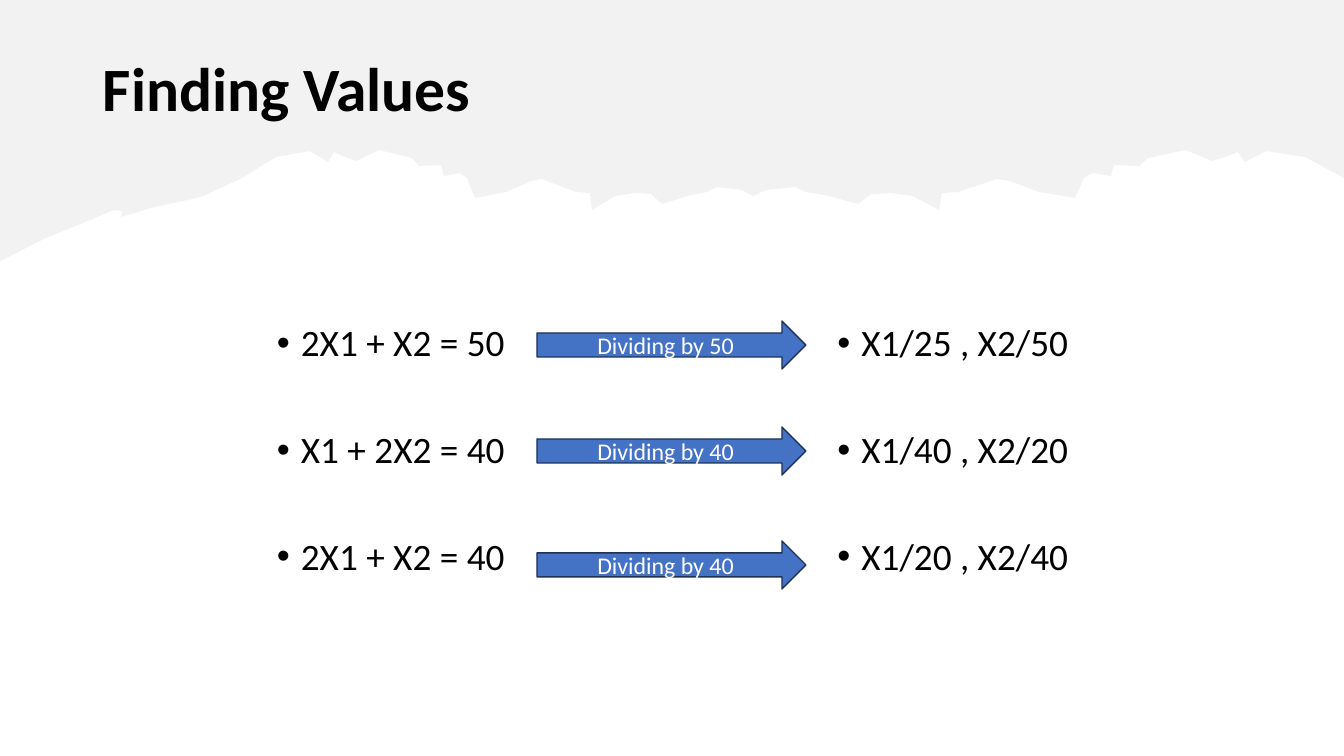
from lxml import etree
from pptx import Presentation, util as u
from pptx.dml.color import RGBColor
from pptx.enum import shapes, text
from pptx.oxml.ns import qn

TITLE = "Finding Values"
CONSTRAINTS = ["2X1 + X2 = 50", "X1 + 2X2 = 40", "2X1 + X2 = 40"]
INTERCEPTS = ["X1/25 , X2/50", "X1/40 , X2/20", "X1/20 , X2/40"]
DIVISIONS = [("Dividing by 50", 321), ("Dividing by 40", 427), ("Dividing by 40", 541)]

HILLSIDE = [(0, 261), (46, 238), (83, 223), (114, 210), (122, 211), (121, 217), (151, 208), (201, 197)]
PEAK = [(242, 178), (263, 165), (276, 157), (310, 151), (328, 162), (334, 152), (345, 157),
        (356, 161), (379, 150), (412, 158)]
STEPS = [(419, 166), (441, 165), (444, 176), (460, 173), (467, 178), (475, 198)]
SHELF = [(506, 192), (531, 181), (542, 179), (576, 192), (590, 193), (592, 210)]
DIP = [(615, 196), (634, 193), (651, 194), (662, 204), (691, 195), (707, 192), (717, 187),
       (742, 190), (753, 196)]
MIRROR_X, MIRROR_STRETCH = 753, 1.157

WIDTH, HEIGHT = 1344, 756
SCALE = 12192000 / WIDTH
BODY_TOP, BODY_WIDTH, BODY_HEIGHT = 222, 546, 459
BODY_COLUMNS = {118: CONSTRAINTS, 680: INTERCEPTS}
BULLET_INDENT = 24
ARROW_LEFT, ARROW_WIDTH, ARROW_HEIGHT = 537, 269, 48
FONT = "Calibri"
BLACK, WHITE, BLUE, NAVY, GREY = "000000", "FFFFFF", "4472C4", "1E3256", "E7E6E6"


def px(length):
    return u.Emu(round(length * SCALE))


def rgb(color):
    return RGBColor.from_string(color)


def paint(shape, color):
    shape.shadow.inherit = False
    shape.fill.solid()
    shape.fill.fore_color.rgb = rgb(color)


def write(frame, lines, size, color, align, bold=False):
    frame.word_wrap = True
    frame.vertical_anchor = text.MSO_ANCHOR.MIDDLE
    frame.text = "\n".join(lines)
    for paragraph in frame.paragraphs:
        paragraph.alignment = align
        font = paragraph.runs[0].font
        font.name, font.size, font.bold = FONT, u.Pt(size), bold
        font.color.rgb = rgb(color)
    return frame.paragraphs


def add_text(slide, box, *style):
    paragraphs = write(slide.shapes.add_textbox(*map(px, box)).text_frame, *style)
    for paragraph in paragraphs:
        paragraph.line_spacing = 0.9
    return paragraphs


def torn_edge():
    ridge = PEAK + STEPS + SHELF + DIP
    mirrored = [(round(MIRROR_X + (MIRROR_X - x) * MIRROR_STRETCH), y)
                for x, y in reversed(ridge[:-1])]
    return HILLSIDE + ridge + mirrored


def add_banner(slide):
    corners = [(WIDTH, 0), (0, 0)]
    start, *rest = torn_edge()
    outline = slide.shapes.build_freeform(*start, scale=SCALE)
    outline.add_line_segments(rest + corners, close=True)
    banner = outline.convert_to_shape()
    paint(banner, GREY)
    banner.line.fill.background()
    tint = banner._element.spPr.find(qn("a:solidFill"))[0]
    etree.SubElement(tint, qn("a:alpha"), val="50000")


def add_bullets(slide, left, lines):
    box = (left, BODY_TOP, BODY_WIDTH, BODY_HEIGHT)
    paragraphs = add_text(slide, box, lines, 26.6, BLACK, text.PP_ALIGN.CENTER)
    for row, paragraph in enumerate(paragraphs):
        paragraph.space_before = u.Pt(47.5 if row else 9.5)
        props = paragraph._p.get_or_add_pPr()
        props.set("marL", str(px(BULLET_INDENT)))
        props.set("indent", str(px(-BULLET_INDENT)))
        etree.SubElement(props, qn("a:buFont"), typeface="Arial")
        etree.SubElement(props, qn("a:buChar"), char="•")


def add_arrow(slide, division, top):
    box = (ARROW_LEFT, top, ARROW_WIDTH, ARROW_HEIGHT)
    arrow = slide.shapes.add_shape(shapes.MSO_SHAPE.RIGHT_ARROW, *map(px, box))
    paint(arrow, BLUE)
    arrow.line.color.rgb = rgb(NAVY)
    arrow.line.width = u.Pt(1)
    label = write(arrow.text_frame, [division], 17.1, WHITE, text.PP_ALIGN.CENTER)
    label[0].space_after = u.Pt(6)


def main():
    deck = Presentation()
    deck.slide_width, deck.slide_height = px(WIDTH), px(HEIGHT)
    slide = deck.slides.add_slide(deck.slide_layouts[6])
    add_banner(slide)
    add_text(slide, (93, 40, 1159, 103), [TITLE], 44, BLACK, text.PP_ALIGN.LEFT, True)
    for left, lines in BODY_COLUMNS.items():
        add_bullets(slide, left, lines)
    for division, top in DIVISIONS:
        add_arrow(slide, division, top)
    deck.save("out.pptx")


if __name__ == "__main__":
    main()
